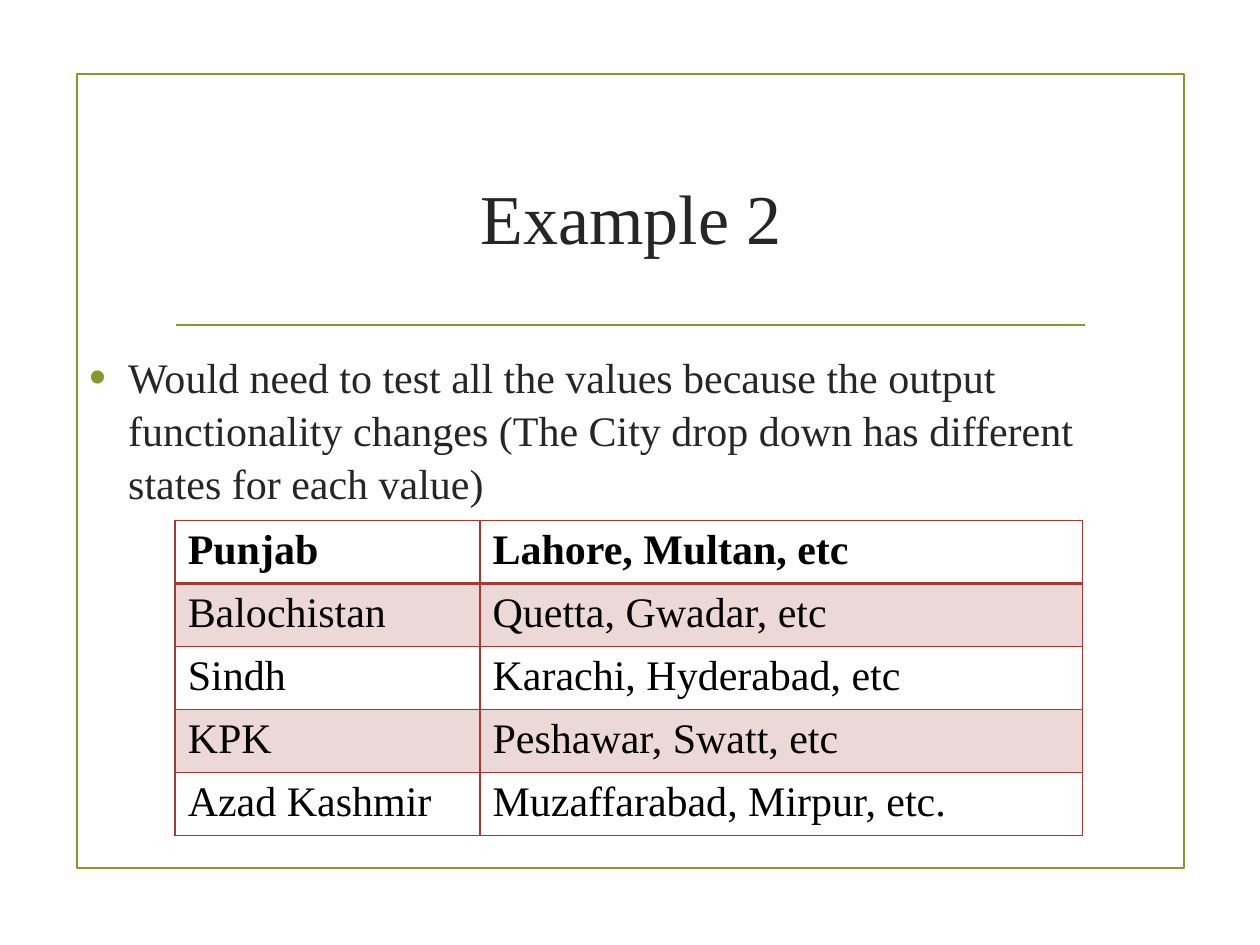
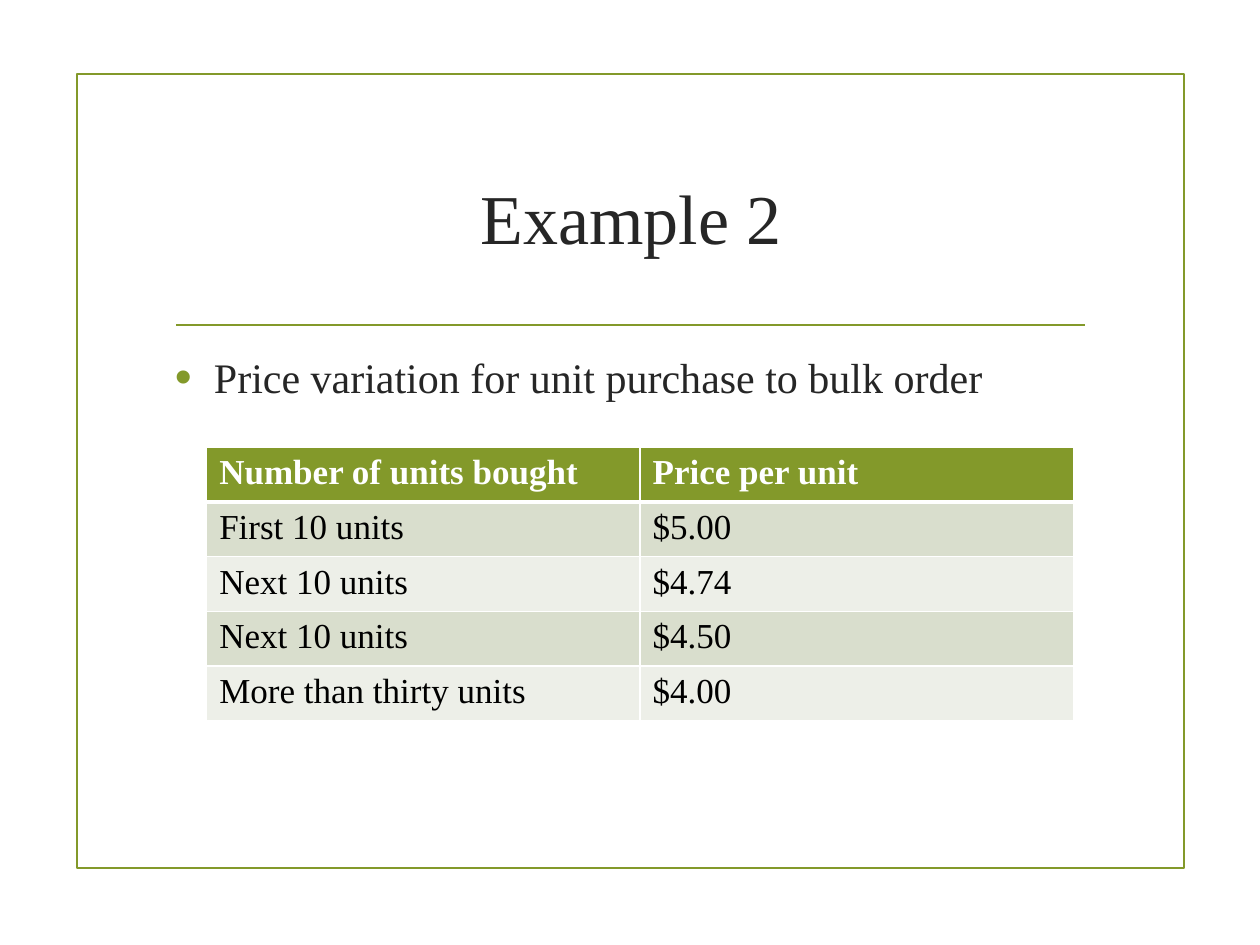
from lxml import etree
from pptx import Presentation
from pptx.dml.color import RGBColor
from pptx.enum.shapes import MSO_CONNECTOR, MSO_SHAPE
from pptx.enum.text import MSO_ANCHOR, PP_ALIGN
from pptx.oxml.ns import qn
from pptx.util import Inches, Pt

# Shared look
FONT = "Times New Roman"
GREEN, RED, INK, BLACK, WHITE = "83992A", "A23C33", "262626", "000000", "FFFFFF"
TITLE_BOX = (1.29, 1, 7.44, 1.43)
FRAME_BOX = (0.61, 0.59, 8.79, 6.3)
RULE = (1.4, 2.58, 8.61, 2.58)
LINE_WIDTH = 1.25
BODY_SIZE = 24
BULLET_INDENT = 0.31

# Slide content; "bands" are the fills that alternate below the header row
SLIDES = [
    {
        "title": "Example 2",
        "bullet": "Would need to test all the values because the output functionality "
                  "changes (The City drop down has different states for each value)",
        "bullet_box": (0.61, 2.72, 8.8, 3.73),
        "rows": [
            ("Punjab", "Lahore, Multan, etc"),
            ("Balochistan", "Quetta, Gwadar, etc"),
            ("Sindh", "Karachi, Hyderabad, etc"),
            ("KPK", "Peshawar, Swatt, etc"),
            ("Azad Kashmir", "Muzaffarabad, Mirpur, etc."),
        ],
        "table_at": (1.39, 4.13), "columns": (2.42, 4.78), "row_height": 0.49,
        "size": 24, "header_ink": BLACK, "header_fill": None,
        "bands": ("ECD8D6", None), "border": RED, "header_rule": 2,
    },
    {
        "title": "Example 2",
        "bullet": "Price variation for unit purchase to bulk order",
        "bullet_box": (1.29, 2.72, 7.44, 3.77),
        "rows": [
            ("Number of units bought", "Price per unit"),
            ("First 10 units", "$5.00"),
            ("Next 10 units", "$4.74"),
            ("Next 10 units", "$4.50"),
            ("More than thirty units", "$4.00"),
        ],
        "table_at": (1.64, 3.55), "columns": (3.44, 3.44), "row_height": 0.41,
        "size": 20, "header_ink": WHITE, "header_fill": GREEN,
        "bands": ("D9DECD", "EDEFE8"), "border": WHITE, "header_rule": 3,
    },
]


def color(value):
    return RGBColor.from_string(value)


def inches(values):
    return [Inches(value) for value in values]


def add_element(parent, tag, **attributes):
    return etree.SubElement(parent, qn(tag), attributes)


def style_font(paragraph, size, ink, bold=False):
    font = paragraph.font
    font.name, font.size, font.bold = FONT, Pt(size), bold
    font.color.rgb = color(ink)


def style_line(shape):
    shape.line.color.rgb = color(GREEN)
    shape.line.width = Pt(LINE_WIDTH)


def add_frame(page):
    frame = page.shapes.add_shape(MSO_SHAPE.RECTANGLE, *inches(FRAME_BOX))
    frame.shadow.inherit = False
    frame.fill.background()
    style_line(frame)
    rule = page.shapes.add_connector(MSO_CONNECTOR.STRAIGHT, *inches(RULE))
    style_line(rule)
    add_element(rule._element.spPr, "a:effectLst")


def set_title(page, text):
    title = page.shapes.title
    title.left, title.top, title.width, title.height = inches(TITLE_BOX)
    title.text_frame.text = text
    title.text_frame.vertical_anchor = MSO_ANCHOR.MIDDLE
    paragraph = title.text_frame.paragraphs[0]
    paragraph.alignment = PP_ALIGN.CENTER
    style_font(paragraph, 40, INK)


def add_bullet(page, text, place):
    box = page.shapes.add_textbox(*inches(place))
    box.text_frame.word_wrap = True
    paragraph = box.text_frame.paragraphs[0]
    paragraph.text = text
    properties = paragraph._p.get_or_add_pPr()
    properties.set("marL", str(Inches(BULLET_INDENT)))
    properties.set("indent", str(-Inches(BULLET_INDENT)))
    add_element(add_element(properties, "a:buClr"), "a:srgbClr", val=GREEN)
    add_element(properties, "a:buSzPct", val="115000")
    add_element(properties, "a:buFont", typeface="Arial")
    add_element(properties, "a:buChar", char="•")
    paragraph.line_spacing = 1.05
    paragraph.space_after = Pt(6)
    style_font(paragraph, BODY_SIZE, INK)


def set_borders(cell, ink, widths):
    properties = cell._tc.get_or_add_tcPr()
    for side, width in widths.items():
        line = add_element(properties, f"a:ln{side}", w=str(Pt(width)))
        add_element(add_element(line, "a:solidFill"), "a:srgbClr", val=ink)


def add_table(page, content):
    rows, columns = content["rows"], content["columns"]
    height = content["row_height"]
    size = (sum(columns), height * len(rows))
    table = page.shapes.add_table(len(rows), len(columns),
                                  *inches(content["table_at"] + size)).table
    table.first_row = table.horz_banding = False
    for column, width in zip(table.columns, columns):
        column.width = Inches(width)
    for index, values in enumerate(rows):
        table.rows[index].height = Inches(height)
        header = index == 0
        fill = content["header_fill"] if header else content["bands"][(index - 1) % 2]
        # The thick rule lies between the header and the first data row
        widths = {"L": 1, "R": 1,
                  "T": content["header_rule"] if index == 1 else 1,
                  "B": content["header_rule"] if header else 1}
        for cell, value in zip(table.rows[index].cells, values):
            cell.text = value
            style_font(cell.text_frame.paragraphs[0], content["size"],
                       content["header_ink"] if header else BLACK, header)
            set_borders(cell, content["border"], widths)
            if fill:
                cell.fill.solid()
                cell.fill.fore_color.rgb = color(fill)
            else:
                cell.fill.background()


def main():
    deck = Presentation()
    deck.slide_width, deck.slide_height = Inches(10), Inches(7.5)
    title_only = deck.slide_layouts[5]
    for content in SLIDES:
        page = deck.slides.add_slide(title_only)
        add_frame(page)
        set_title(page, content["title"])
        add_bullet(page, content["bullet"], content["bullet_box"])
        add_table(page, content)
    deck.save("out.pptx")


if __name__ == "__main__":
    main()
